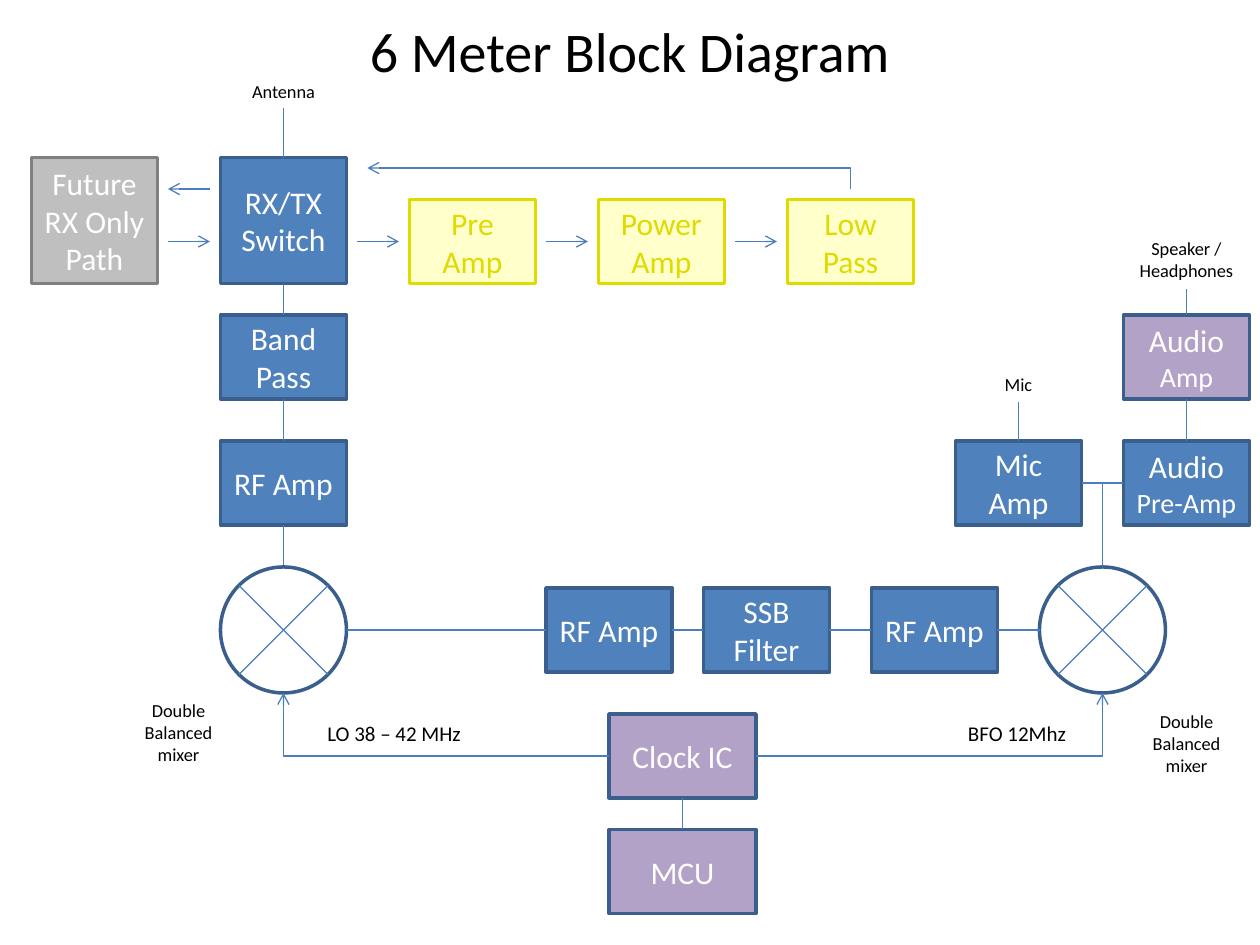
from dataclasses import dataclass
from math import sqrt

from lxml.etree import SubElement
from pptx import Presentation
from pptx.dml.color import RGBColor
from pptx.enum.shapes import MSO_CONNECTOR, MSO_SHAPE
from pptx.enum.text import MSO_ANCHOR, MSO_AUTO_SIZE, PP_ALIGN
from pptx.oxml.ns import qn
from pptx.util import Inches, Pt

COLUMNS, ROWS = 120, 90
BLOCK_WIDTH, BLOCK_HEIGHT, MIXER_SIZE = 12, 8, 12


@dataclass(frozen=True)
class Theme:
    font: str = "Calibri"
    ink: str = "000000"
    wire: str = "4B7EBC"
    mixer: tuple = ("FFFFFF", "3A5F8C", "FFFFFF")
    stage: tuple = ("4F81BD", "3A5F8C", "FFFFFF")
    module: tuple = ("B3A2C7", "3A5F8C", "FFFFFF")
    transmit: tuple = ("FFFFCC", "DFDA00", "DFDA00")
    future: tuple = ("BFBFBF", "808080", "FFFFFF")
    title_size: float = 32
    block_size: float = 18
    small_size: float = 16
    signal_size: float = 12
    label_size: float = 10.5
    border: float = 2
    wire_width: float = 0.75


THEME = Theme()


def grid(*cells):
    return [Inches(cell / 12) for cell in cells]


def add_run(paragraph, words, size, color):
    run = paragraph.add_run()
    run.text = words
    run.font.name = THEME.font
    run.font.size = Pt(size)
    run.font.color.rgb = RGBColor.from_string(color)


def write(frame, lines, size, color, align=PP_ALIGN.CENTER):
    for index, line in enumerate(lines):
        paragraph = frame.paragraphs[0] if index == 0 else frame.add_paragraph()
        paragraph.alignment = align
        for part, words in enumerate(line.split("\v")):
            if part:
                paragraph.add_line_break()
            add_run(paragraph, words, size, color)


def outline(slide, preset, colors, column, row, width, height):
    fill, border, _ = colors
    figure = slide.shapes.add_shape(preset, *grid(column, row, width, height))
    figure.shadow.inherit = False
    figure.fill.solid()
    figure.fill.fore_color.rgb = RGBColor.from_string(fill)
    figure.line.color.rgb = RGBColor.from_string(border)
    figure.line.width = Pt(THEME.border)
    return figure


def block(slide, column, row, lines, colors=THEME.stage, width=BLOCK_WIDTH,
          height=BLOCK_HEIGHT, small_words=None):
    frame = outline(slide, MSO_SHAPE.RECTANGLE, colors, column, row, width, height).text_frame
    frame.word_wrap = True
    frame.vertical_anchor = MSO_ANCHOR.MIDDLE
    write(frame, lines, THEME.block_size, colors[2])
    if small_words:
        add_run(frame.paragraphs[0], small_words, THEME.small_size, colors[2])


def label(slide, column, row, width, height, words, size=THEME.label_size,
          align=PP_ALIGN.CENTER, wrap=True):
    frame = slide.shapes.add_textbox(*grid(column, row, width, height)).text_frame
    frame.word_wrap = wrap
    frame.auto_size = MSO_AUTO_SIZE.SHAPE_TO_FIT_TEXT
    write(frame, [words], size, THEME.ink, align)


def title(slide, words):
    frame = slide.shapes.add_textbox(*grid(6, 3.6, 108, 2.4)).text_frame
    frame.word_wrap = True
    frame.vertical_anchor = MSO_ANCHOR.MIDDLE
    write(frame, [words], THEME.title_size, THEME.ink)


def wire(slide, start, end, arrow=False, kind=MSO_CONNECTOR.STRAIGHT):
    link = slide.shapes.add_connector(kind, *grid(*start, *end))
    link.line.color.rgb = RGBColor.from_string(THEME.wire)
    link.line.width = Pt(THEME.wire_width)
    properties = link.element.spPr
    if arrow:
        SubElement(properties.find(qn("a:ln")), qn("a:tailEnd"), type="arrow")
    SubElement(properties, qn("a:effectLst"))
    return properties.find(qn("a:prstGeom"))


def corner(slide, start, end, arrow=False):
    wire(slide, start, end, arrow, MSO_CONNECTOR.ELBOW).set("prst", "bentConnector2")


def feedback(slide, start, end):
    geometry = wire(slide, start, end, True, MSO_CONNECTOR.ELBOW)
    adjustments = geometry.find(qn("a:avLst"))
    if adjustments is None:
        adjustments = SubElement(geometry, qn("a:avLst"))
    SubElement(adjustments, qn("a:gd"), name="adj1", fmla="val 0")


def mixer(slide, column, row):
    outline(slide, MSO_SHAPE.OVAL, THEME.mixer, column, row, MIXER_SIZE, MIXER_SIZE)
    radius = MIXER_SIZE / 2
    x, y, reach = column + radius, row + radius, radius * sqrt(0.5)
    for side in (-reach, reach):
        wire(slide, (x + side, y - reach), (x - side, y + reach))


def switch_and_transmit_chain(slide):
    block(slide, 21, 15, ["RX/TX Switch"], height=12)
    block(slide, 3, 15, ["Future\vRX Only Path"], THEME.future, height=12)
    for step, words in enumerate(("Pre Amp", "Power Amp", "Low Pass")):
        column = 39 + 18 * step
        block(slide, column, 19, [words], THEME.transmit)
        wire(slide, (column - 5, 23), (column - 1, 23), True)
    wire(slide, (20, 18), (16, 18), True)
    wire(slide, (16, 23), (20, 23), True)
    feedback(slide, (81, 18), (35, 16))
    label(slide, 22, 7, 10, 3.4, "Antenna")


def receive_chain(slide):
    block(slide, 21, 30, ["Band", "Pass"])
    block(slide, 21, 42, ["RF Amp"])
    for top, bottom in ((10.3, 15), (27, 30), (38, 42), (50, 54)):
        wire(slide, (27, top), (27, bottom))


def intermediate_chain(slide):
    mixer(slide, 21, 54)
    mixer(slide, 99, 54)
    left = 21 + MIXER_SIZE
    for column, words in ((52, "RF Amp"), (67, "SSB Filter"), (83, "RF Amp")):
        block(slide, column, 56, [words])
        wire(slide, (left, 60), (column, 60))
        left = column + BLOCK_WIDTH
    wire(slide, (left, 60), (99, 60))
    label(slide, 12, 66, 10, 7.6, "Double Balanced mixer")
    label(slide, 108, 67, 10, 7.6, "Double Balanced mixer")


def oscillators(slide):
    for row, words in ((68, "Clock IC"), (79, "MCU")):
        block(slide, 58, row, [words], THEME.module, width=14)
    wire(slide, (65, 76), (65, 79))
    corner(slide, (58, 72), (27, 66), True)
    corner(slide, (72, 72), (105, 66), True)
    for column, width, words in ((30, 15.4, "LO 38 – 42 MHz"), (91, 11.9, "BFO 12Mhz")):
        label(slide, column, 68, width, 3.6, words, THEME.signal_size, PP_ALIGN.LEFT, False)


def audio_chain(slide):
    block(slide, 91, 42, ["Mic Amp"])
    block(slide, 107, 42, ["Audio "], small_words="Pre-Amp")
    block(slide, 107, 30, ["Audio "], THEME.module, small_words="Amp")
    for edge in (103, 107):
        corner(slide, (edge, 46), (105, 54))
    for column, top, bottom in ((97, 38.3, 42), (113, 38, 42), (113, 27.5, 30)):
        wire(slide, (column, bottom), (column, top))
    label(slide, 92, 35, 10, 3.4, "Mic")
    label(slide, 107, 22, 12, 5.4, "Speaker / Headphones")


def main():
    deck = Presentation()
    deck.slide_width, deck.slide_height = grid(COLUMNS, ROWS)
    slide = deck.slides.add_slide(deck.slide_layouts[6])
    title(slide, "6 Meter Block Diagram")
    for section in (switch_and_transmit_chain, receive_chain, intermediate_chain,
                    oscillators, audio_chain):
        section(slide)
    deck.save("out.pptx")


main()
